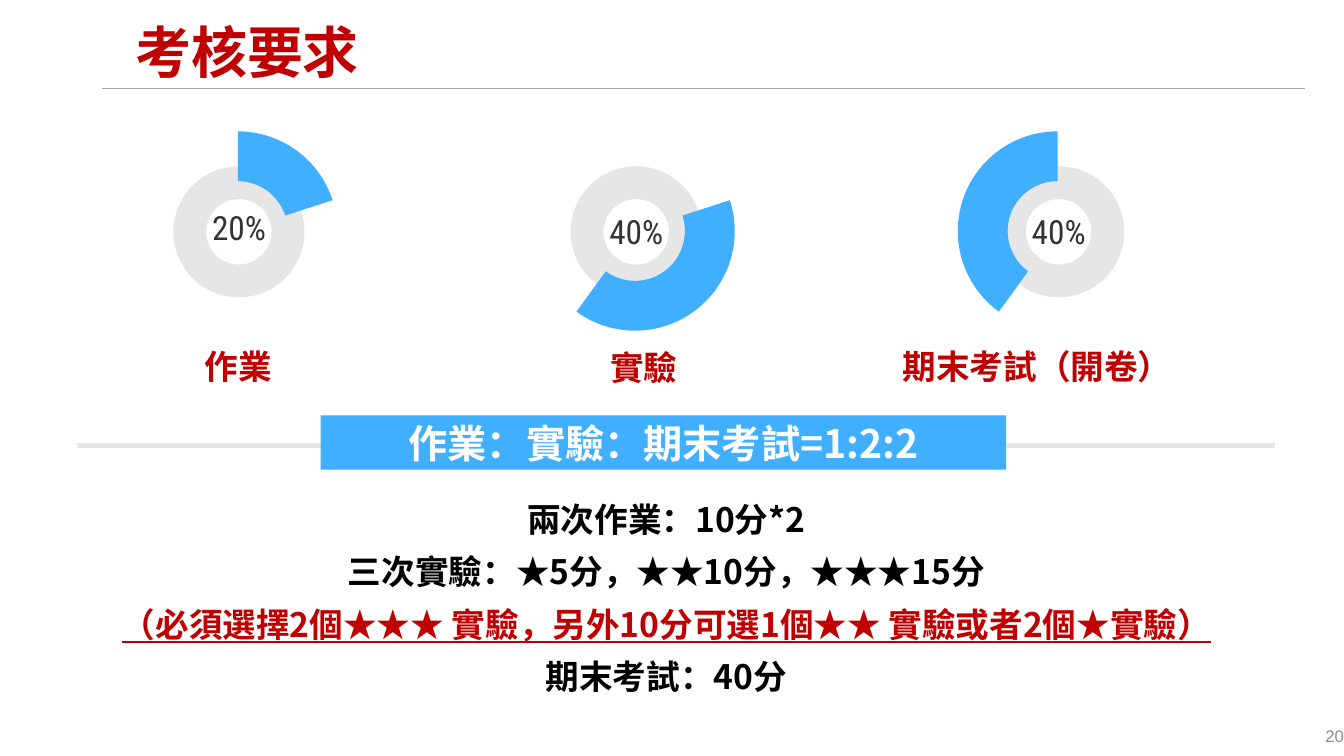
from lxml import etree
from pptx import Presentation
from pptx.chart.data import CategoryChartData
from pptx.dml.color import RGBColor
from pptx.enum.chart import XL_CHART_TYPE
from pptx.enum.shapes import MSO_CONNECTOR, MSO_SHAPE
from pptx.enum.text import MSO_ANCHOR, MSO_AUTO_SIZE, PP_ALIGN
from pptx.oxml import parse_xml
from pptx.oxml.ns import nsdecls, qn
from pptx.util import Inches, Pt

CJK = "Noto Sans CJK SC"
RED, BLUE, GRAY = "C00000", "40AFFF", "E7E6E6"


def color(value):
    return RGBColor.from_string(value)


def write(sp, lines, size, hexes, font=CJK, bold=True, align=PP_ALIGN.CENTER,
          spacing=None, wrap=True, anchor=MSO_ANCHOR.TOP):
    """Fill a shape with one paragraph per line, one colour per paragraph."""
    tf = sp.text_frame
    tf.text = "\n".join(lines)
    tf.word_wrap, tf.auto_size = wrap, MSO_AUTO_SIZE.NONE
    tf.vertical_anchor = anchor
    for p, value in zip(tf.paragraphs, hexes):
        p.alignment, p.line_spacing = align, spacing
        p.font.size, p.font.bold, p.font.name = Pt(size), bold, font
        p.font.color.rgb = color(value)
        for r in p.runs:
            ea = etree.SubElement(r.font._element, qn("a:ea"))
            ea.set("typeface", font)
    return tf


prs = Presentation()
prs.slide_width, prs.slide_height = Inches(13.33), Inches(7.5)
s = prs.slides.add_slide(prs.slide_layouts[5])
shapes = s.shapes

# Title
title = shapes.title
title.left, title.top = Inches(1.24), Inches(0.15)
title.width, title.height = Inches(11.18), Inches(0.79)
write(title, ["考核要求"], 40, [RED], align=PP_ALIGN.LEFT, spacing=0.9,
      anchor=MSO_ANCHOR.MIDDLE)

# Rules under the title and behind the banner
for x1, x2, y, value, width in [(1.01, 12.94, 0.88, "A6A6A6", 1),
                                (0.76, 12.65, 4.42, GRAY, 3)]:
    rule = shapes.add_connector(MSO_CONNECTOR.STRAIGHT, Inches(x1), Inches(y),
                                Inches(x2), Inches(y))
    rule.line.color.rgb, rule.line.width = color(value), Pt(width)
    etree.SubElement(rule._element.spPr, qn("a:effectLst"))

# Ratio banner
banner = shapes.add_shape(MSO_SHAPE.RECTANGLE, Inches(3.18), Inches(4.12),
                          Inches(6.8), Inches(0.54))
banner.shadow.inherit = False
banner.fill.solid()
banner.fill.fore_color.rgb = color(BLUE)
banner.line.fill.background()
write(banner, ["作業：實驗：期末考試=1:2:2"], 28, ["FFFFFF"],
      anchor=MSO_ANCHOR.MIDDLE)

# Score rules
rules = shapes.add_textbox(Inches(0.43), Inches(4.78), Inches(12.36), Inches(2.15))
tf = write(rules, ["兩次作業：10分*2",
                   "三次實驗：★5分，★★10分，★★★15分",
                   "（必須選擇2個★★★ 實驗，另外10分可選1個★★ 實驗或者2個★實驗）",
                   "期末考試：40分"],
           24, ["000000", "000000", RED, "000000"], spacing=1.3)
tf.paragraphs[2].font.underline = True

# Weights: gray ring, doughnut with one visible slice, percentage, label
weights = [  # ring left, percentage top, label, label left, top and width
    (1.72, 2.01, "作業", 1.93, 3.38, 0.87),
    (5.66, 2.05, "實驗", 5.95, 3.39, 0.87),
    (9.85, 2.05, "期末考試（開卷）", 8.84, 3.38, 2.89),
]
shares = [20, 40, 40]
data = CategoryChartData()
data.categories = ["1", "2", "3", "4"]
data.add_series("Series 1", shares + [None])

for i, (x, pct_top, label, label_x, label_y, label_w) in enumerate(weights):
    ring = shapes.add_shape(MSO_SHAPE.DONUT, Inches(x), Inches(1.65),
                            Inches(1.3), Inches(1.3))
    ring.adjustments[0] = 0.25
    ring.shadow.inherit = False
    ring.fill.solid()
    ring.fill.fore_color.rgb = color(GRAY)
    ring.line.fill.background()

    chart = shapes.add_chart(XL_CHART_TYPE.DOUGHNUT, Inches(x - 1.64), Inches(0.19),
                             Inches(4.59), Inches(3.15), data).chart
    chart.has_title = chart.has_legend = False
    chart.font.size, chart.font.name = Pt(10), "Arial"
    chart.font.color.rgb = color("000000")
    plot = chart.plots[0]
    plot.vary_by_categories = True
    for j, value in enumerate([BLUE, BLUE, BLUE, "44546A"]):
        fmt = plot.series[0].points[j].format
        fmt.line.fill.background()
        if j in (i, 3):
            fmt.fill.solid()
            fmt.fill.fore_color.rgb = color(value)
        else:
            fmt.fill.background()

    # Hole size and fixed plot area
    area = chart._chartSpace.find(".//" + qn("c:plotArea"))
    area.find(".//" + qn("c:holeSize")).set("val", "52")
    for old in area.findall(qn("c:layout")):
        area.remove(old)
    area.insert(0, parse_xml(
        f'<c:layout {nsdecls("c")}><c:manualLayout><c:layoutTarget val="inner"/>'
        '<c:xMode val="edge"/><c:yMode val="edge"/><c:x val="0.281"/>'
        '<c:y val="0.346"/><c:w val="0.431"/><c:h val="0.643"/>'
        '</c:manualLayout></c:layout>'))

    pct = shapes.add_textbox(Inches(x + 0.26), Inches(pct_top),
                             Inches(0.78), Inches(0.5))
    write(pct, [f"{shares[i]}%"], 23.8, ["333333"], font="Roboto Condensed",
          bold=False, wrap=False)
    name = shapes.add_textbox(Inches(label_x), Inches(label_y),
                              Inches(label_w), Inches(0.5))
    write(name, [label], 24, [RED], wrap=False)

# Page number
number = shapes.add_textbox(Inches(10.33), Inches(7.1), Inches(3), Inches(0.4))
write(number, ["20"], 12, ["8C8C8C"], font="Arial", bold=False,
      align=PP_ALIGN.RIGHT, anchor=MSO_ANCHOR.MIDDLE)
number.text_frame.margin_right = 0

prs.save("out.pptx")
